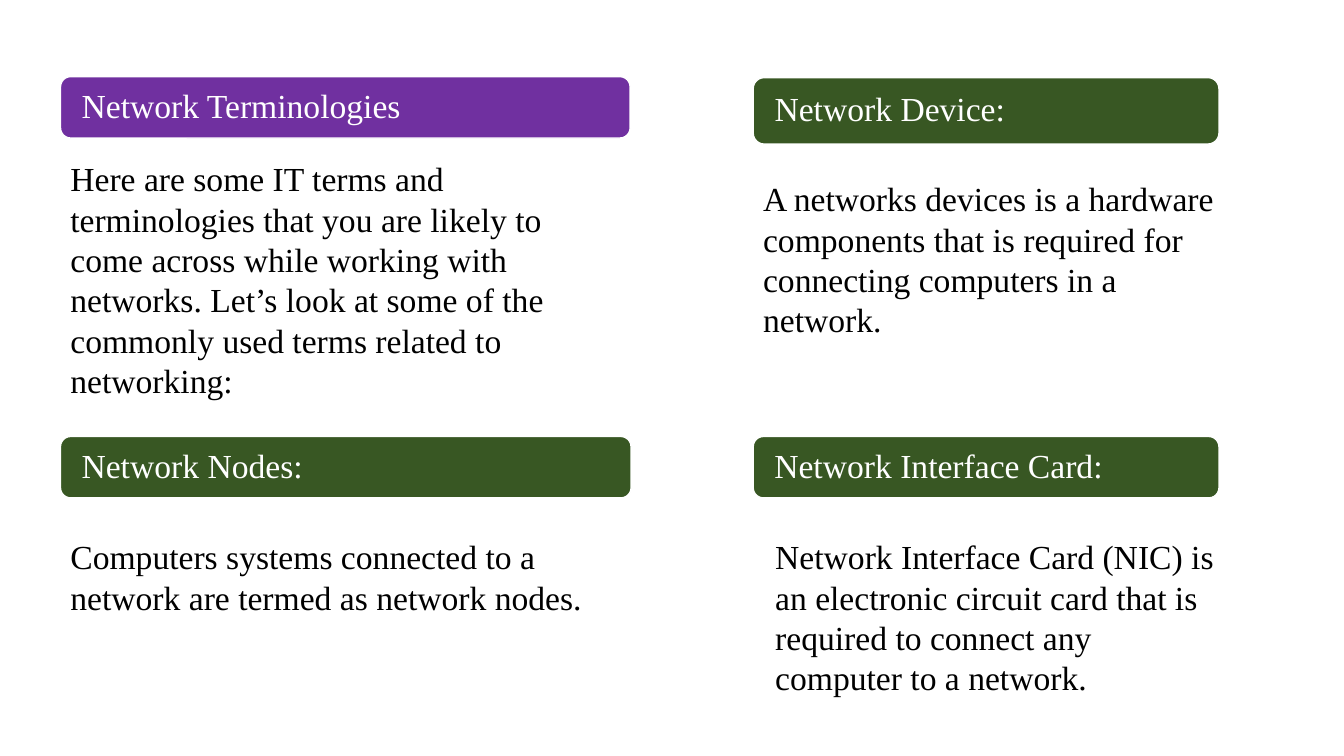
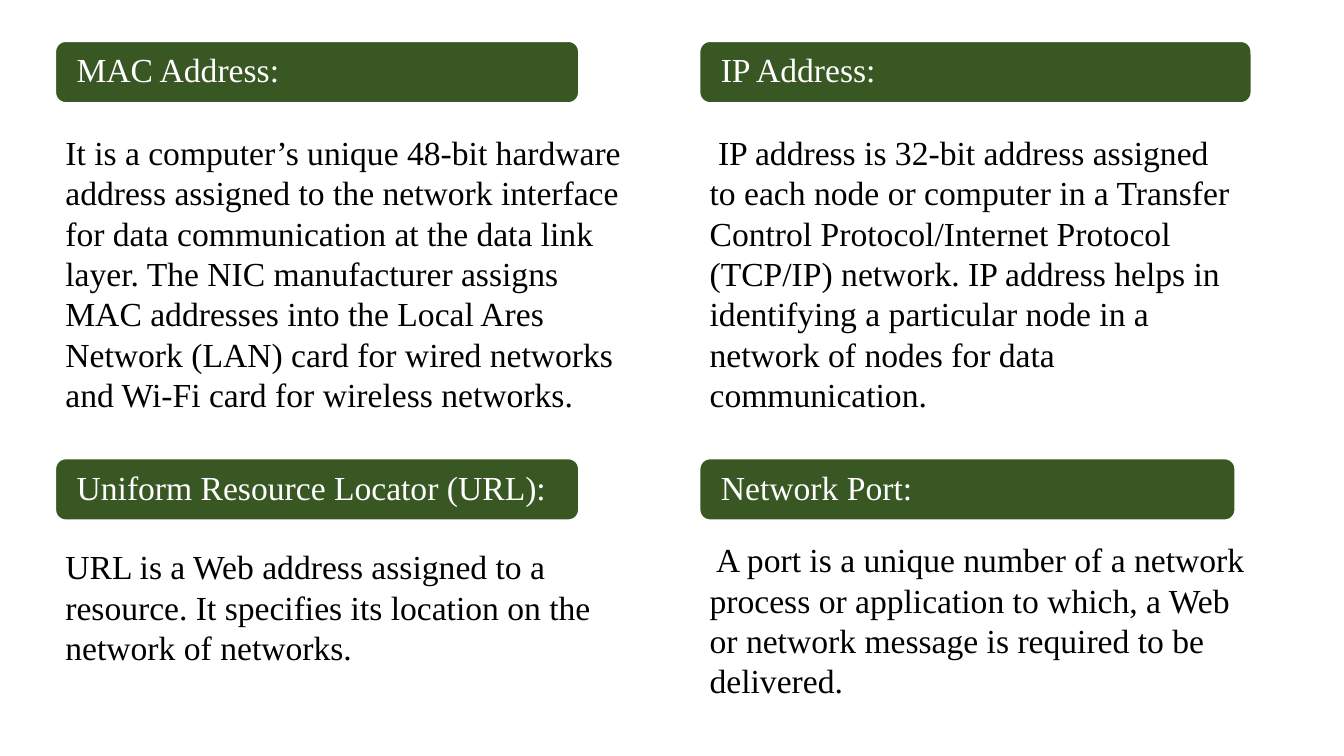
from pptx import Presentation
from pptx.dml.color import RGBColor
from pptx.enum.shapes import MSO_SHAPE
from pptx.enum.text import MSO_ANCHOR, MSO_AUTO_SIZE, PP_ALIGN
from pptx.util import Inches, Pt

ROUNDED = MSO_SHAPE.ROUNDED_RECTANGLE
MIDDLE = MSO_ANCHOR.MIDDLE
FIT_SHAPE = MSO_AUTO_SIZE.SHAPE_TO_FIT_TEXT
LEFT = PP_ALIGN.LEFT

# Shared style
FONT = "Times New Roman"
SIZE = 24
PURPLE, GREEN, WHITE, BLACK = "7030A0", "385723", "FFFFFF", "000000"
BAR_H = 0.61


def rgb(value):
    return RGBColor.from_string(value)


def set_text(tf, text, color):
    tf.word_wrap = True
    p = tf.paragraphs[0]
    p.text = text
    p.alignment = LEFT
    font = p.runs[0].font
    font.name, font.size = FONT, Pt(SIZE)
    font.color.rgb = rgb(color)
    return p


# Each term: heading, bar colour, bar (left, top, width, height),
# definition, definition box (left, top, width, height)
slides = [
    [
        ("Network Terminologies", PURPLE, (0.6, 0.76, 5.65, BAR_H),
         "Here are some IT terms and terminologies that you are likely to come "
         "across while working with networks. Let’s look at some of the commonly "
         "used terms related to networking:", (0.6, 1.52, 5.66, 2.52)),
        ("Network Nodes:", GREEN, (0.6, 4.33, 5.66, BAR_H),
         "Computers systems connected to a network are termed as network nodes.",
         (0.6, 5.27, 5.66, 0.91)),
        ("Network Device:", GREEN, (7.47, 0.77, 4.62, 0.66),
         "A networks devices is a hardware components that is required for "
         "connecting computers in a network.", (7.47, 1.72, 4.74, 1.72)),
        ("Network Interface Card:", GREEN, (7.47, 4.33, 4.62, BAR_H),
         "Network Interface Card (NIC) is an electronic circuit card that is "
         "required to connect any computer to a network.",
         (7.59, 5.27, 4.62, 1.72)),
    ],
    [
        ("MAC Address:", GREEN, (0.55, 0.41, 5.19, BAR_H),
         "It is a computer’s unique 48-bit hardware address assigned to the "
         "network interface for data communication at the data link layer. The "
         "NIC manufacturer assigns MAC addresses into the Local Ares Network "
         "(LAN) card for wired networks and Wi-Fi card for wireless networks.",
         (0.55, 1.26, 5.81, 2.93)),
        ("IP Address:", GREEN, (6.94, 0.41, 5.47, BAR_H),
         " IP address is 32-bit address assigned to each node or computer in a "
         "Transfer Control Protocol/Internet Protocol (TCP/IP) network. IP "
         "address helps in identifying a particular node in a network of nodes "
         "for data communication.", (6.94, 1.26, 5.47, 2.93)),
        ("Uniform Resource Locator (URL):", GREEN, (0.55, 4.55, 5.19, BAR_H),
         "URL is a Web address assigned to a resource. It specifies its location "
         "on the network of networks.", (0.55, 5.37, 5.81, 1.31)),
        ("Network Port:", GREEN, (6.94, 4.55, 5.31, BAR_H),
         " A port is a unique number of a network process or application to "
         "which, a Web or network message is required to be delivered.",
         (6.94, 5.3, 5.66, 1.72)),
    ],
]

prs = Presentation()
prs.slide_width, prs.slide_height = Inches(13.33), Inches(7.5)

for terms in slides:
    s = prs.slides.add_slide(prs.slide_layouts[6])
    for heading, color, bar, definition, box in terms:
        # Heading bar
        sp = s.shapes.add_shape(ROUNDED, *map(Inches, bar))
        sp.shadow.inherit = False
        sp.fill.solid()
        sp.fill.fore_color.rgb = rgb(color)
        sp.line.color.rgb = rgb(WHITE)
        sp.line.width = Pt(1)
        tf = sp.text_frame
        tf.vertical_anchor = MIDDLE
        tf.margin_left = Inches(0.18)
        tf.margin_right = tf.margin_top = tf.margin_bottom = Inches(0.05)
        p = set_text(tf, heading, WHITE)
        p.line_spacing = 0.9

        # Definition
        tf = s.shapes.add_textbox(*map(Inches, box)).text_frame
        set_text(tf, definition, BLACK)
        tf.auto_size = FIT_SHAPE

prs.save("out.pptx")
